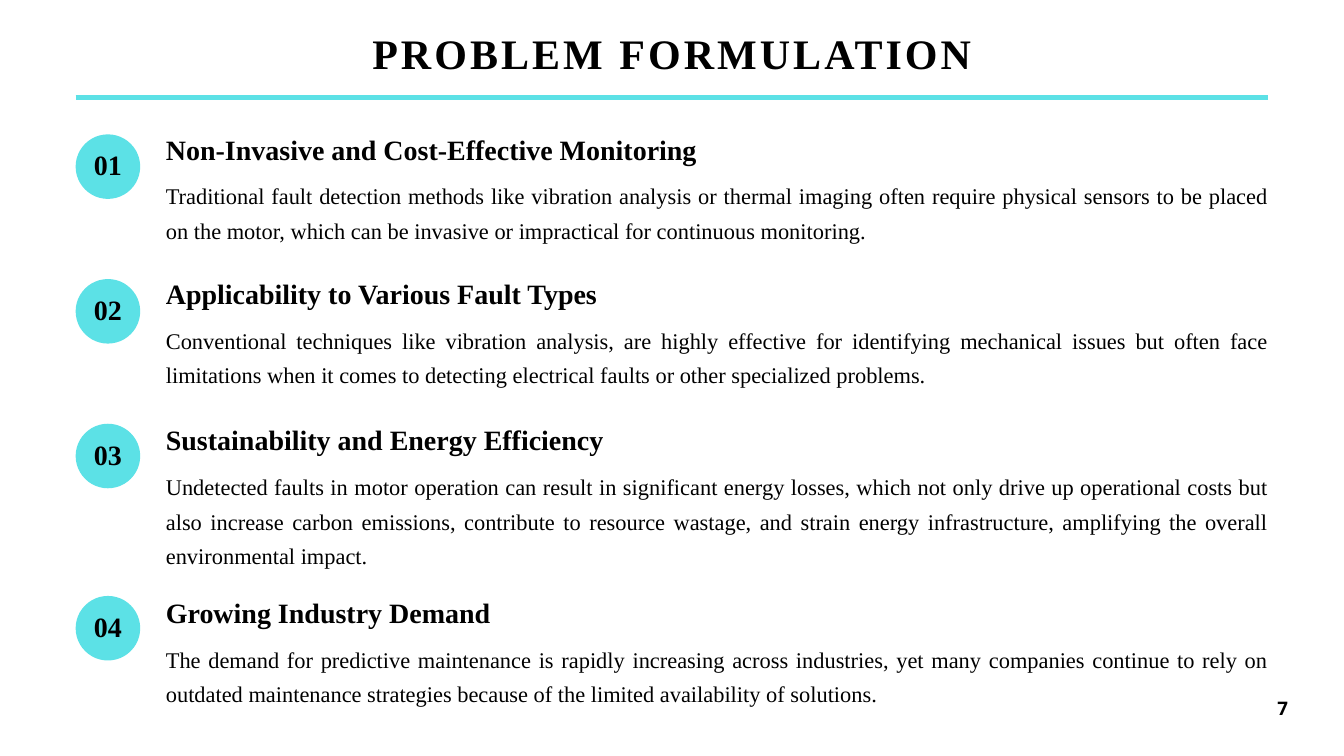
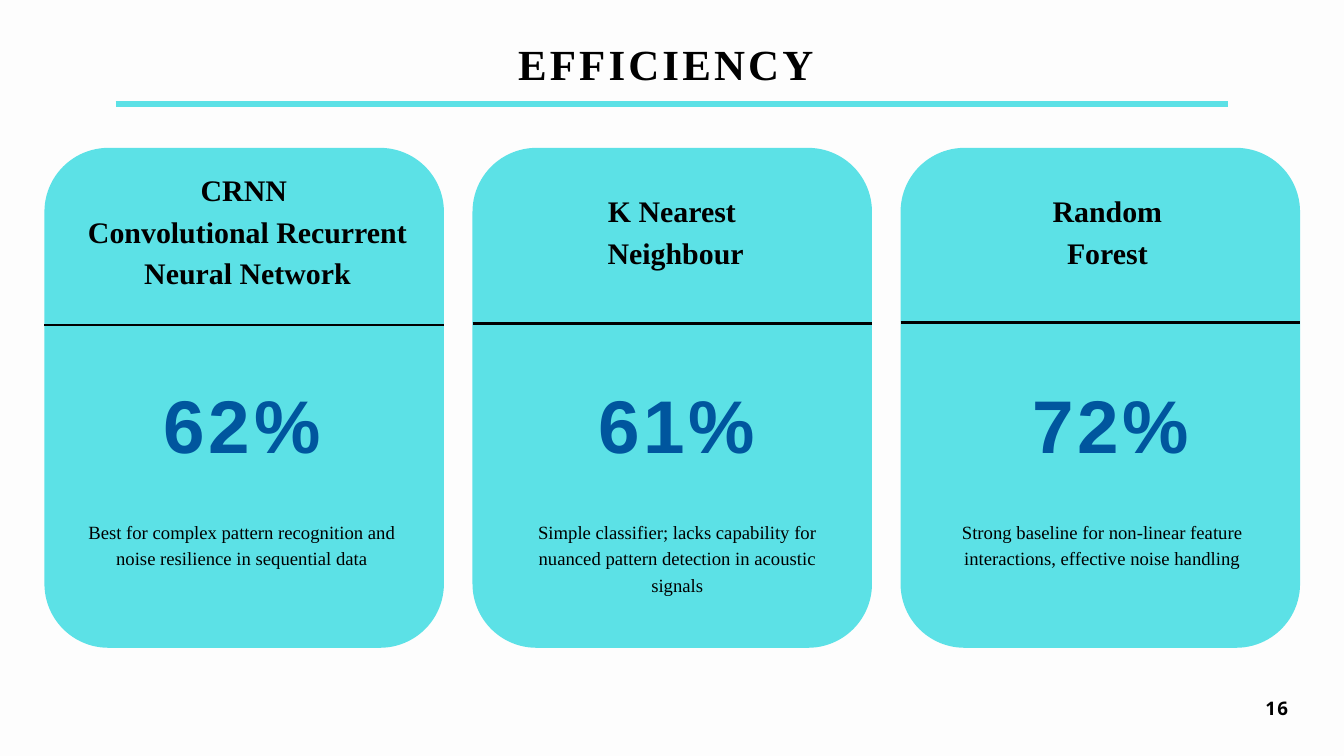
"""Build the problem formulation and efficiency slides."""
from dataclasses import dataclass

from lxml import etree
from pptx import Presentation
from pptx import slide as sl
from pptx import util as u
from pptx.dml import color
from pptx.enum import shapes, text
from pptx.oxml import ns

TURQUOISE = color.RGBColor(0x5C, 0xE1, 0xE6)
BLACK = color.RGBColor(0x00, 0x00, 0x00)
BLUE = color.RGBColor(0x00, 0x56, 0x9E)
WHITE = color.RGBColor(0xFF, 0xFF, 0xFF)
OFF_WHITE = color.RGBColor(0xFD, 0xFD, 0xFD)
SERIF = "Times New Roman"

LEFT = text.PP_ALIGN.LEFT
CENTER = text.PP_ALIGN.CENTER
RIGHT = text.PP_ALIGN.RIGHT
JUSTIFY = text.PP_ALIGN.JUSTIFY

PAGE_WIDTH = 50.8
PAGE_HEIGHT = 28.58


@dataclass(frozen=True)
class Style:
    """Look of a text block; sizes and spacing are in points."""
    size: float
    line: float
    align: text.PP_ALIGN = CENTER
    bold: bool = True
    font: str = SERIF
    colour: color.RGBColor = BLACK
    tracking: float = 0


@dataclass(frozen=True)
class Area:
    """Rectangle in centimetres."""
    left: float
    top: float
    width: float
    height: float

    def lengths(self) -> list[u.Length]:
        """Return the four sides as lengths."""
        return [u.Cm(side) for side in (self.left, self.top, self.width, self.height)]


@dataclass(frozen=True)
class Problem:
    """Numbered problem with its heading and explanation."""
    circle_top: float
    heading_top: float
    heading: str
    body: str
    body_lines: int


@dataclass(frozen=True)
class Card:
    """Model card with its accuracy and remark."""
    heading: str
    heading_lines: int
    heading_left: float
    heading_width: float
    score: str
    remark: str
    remark_left: float
    remark_lines: int


NUMBER = Style(30, 42)
PROBLEM_HEADING = Style(30, 42, LEFT)
PROBLEM_BODY = Style(24, 37.2, JUSTIFY, bold=False)
PAGE_NUMBER = Style(20, 31, RIGHT, font="Open Sans", tracking=1.5)
CARD_HEADING = Style(32, 44.8)
SCORE = Style(80, 112, font="Arial", colour=BLUE, tracking=4)
REMARK = Style(20, 28, bold=False)

PROBLEMS = [
    Problem(5.08, 4.78, "Non-Invasive and Cost-Effective Monitoring",
            "Traditional fault detection methods like vibration analysis or thermal imaging "
            "often require physical sensors to be placed on the motor, which can be invasive "
            "or impractical for continuous monitoring.", 2),
    Problem(10.55, 10.24, "Applicability to Various Fault Types",
            "Conventional techniques like vibration analysis, are highly effective for "
            "identifying mechanical issues but often face limitations when it comes to "
            "detecting electrical faults or other specialized problems.", 2),
    Problem(16.02, 15.77, "Sustainability and Energy Efficiency",
            "Undetected faults in motor operation can result in significant energy losses, "
            "which not only drive up operational costs but also increase carbon emissions, "
            "contribute to resource wastage, and strain energy infrastructure, amplifying "
            "the overall environmental impact.", 3),
    Problem(22.53, 22.3, "Growing Industry Demand",
            "The demand for predictive maintenance is rapidly increasing across industries, "
            "yet many companies continue to rely on outdated maintenance strategies because "
            "of the limited availability of solutions.", 2),
]

CARDS = [
    Card("CRNN \nConvolutional Recurrent Neural Network", 3, 2.86, 13, "62%",
         "Best for complex pattern recognition and noise resilience in sequential data",
         2.84, 2),
    Card("K Nearest\n Neighbour", 2, 18.9, 13, "61%",
         "Simple classifier; lacks capability for nuanced pattern detection in acoustic signals",
         19.3, 3),
    Card("Random \nForest ", 2, 35.36, 13.28, "72%",
         "Strong baseline for non-linear feature interactions, effective noise handling",
         35.36, 2),
]


def add_text(page: sl.Slide, area: Area, words: str, style: Style,
             inset: float = 0, middle: bool = False) -> None:
    """Add a wrapped text box in one style."""
    box = page.shapes.add_textbox(*area.lengths())
    frame = box.text_frame
    frame.word_wrap = True
    frame.margin_left = frame.margin_right = u.Cm(inset)
    frame.margin_top = frame.margin_bottom = u.Cm(inset)
    if middle:
        frame.vertical_anchor = text.MSO_ANCHOR.MIDDLE
    else:
        frame.auto_size = text.MSO_AUTO_SIZE.SHAPE_TO_FIT_TEXT
    frame.text = words
    for para in frame.paragraphs:
        para.alignment = style.align
        para.line_spacing = u.Pt(style.line)
        for span in para.runs:
            span.font.size = u.Pt(style.size)
            span.font.name = style.font
            span.font.bold = style.bold
            span.font.color.rgb = style.colour
            if style.tracking:
                span._r.get_or_add_rPr().set("spc", str(round(style.tracking * 100)))


def add_rule(page: sl.Slide, left: float, right: float, top: float,
             colour: color.RGBColor, weight: float) -> None:
    """Add a horizontal line."""
    rule = page.shapes.add_connector(shapes.MSO_CONNECTOR.STRAIGHT, u.Cm(left), u.Cm(top),
                                     u.Cm(right), u.Cm(top))
    rule.line.color.rgb = colour
    rule.line.width = u.Pt(weight)
    etree.SubElement(rule._element.spPr, ns.qn("a:effectLst"))


def add_panel(page: sl.Slide, kind: shapes.MSO_SHAPE, area: Area,
              rounding: float | None = None) -> None:
    """Add a plain turquoise shape."""
    panel = page.shapes.add_shape(kind, *area.lengths())
    panel.shadow.inherit = False
    panel.fill.solid()
    panel.fill.fore_color.rgb = TURQUOISE
    panel.line.fill.background()
    if rounding is not None:
        panel.adjustments[0] = rounding


def add_page(deck: Presentation, title: str, title_area: Area, title_style: Style,
             rule_left: float, rule_top: float, number: str,
             background: color.RGBColor) -> sl.Slide:
    """Add a slide with its title, rule and page number."""
    page = deck.slides.add_slide(deck.slide_layouts[6])
    page.background.fill.solid()
    page.background.fill.fore_color.rgb = background
    add_text(page, title_area, title, title_style)
    add_rule(page, rule_left, PAGE_WIDTH - rule_left, rule_top, TURQUOISE, 6)
    width = 0.5 * len(number)
    add_text(page, Area(48.69 - width, 26.09, width, 1.02), number, PAGE_NUMBER)
    return page


def add_problem(page: sl.Slide, index: int, problem: Problem) -> None:
    """Add a numbered circle, a heading and its explanation."""
    left, top = 2.86, problem.circle_top
    add_panel(page, shapes.MSO_SHAPE.OVAL, Area(left, top, 2.44, 2.44))
    add_text(page, Area(left + 0.23, top - 0.11, 1.98, 2.31), f"{index:02}", NUMBER,
             inset=0.13, middle=True)
    add_text(page, Area(6.27, problem.heading_top, 41.66, 1.5), problem.heading,
             PROBLEM_HEADING)
    add_text(page, Area(6.27, problem.heading_top + 1.82, 41.66, 1.3 * problem.body_lines),
             problem.body, PROBLEM_BODY)


def add_card(page: sl.Slide, index: int, card: Card) -> None:
    """Add a rounded card with heading, divider, score and remark."""
    left, width = 1.68 + 16.18 * index, 15.1
    add_panel(page, shapes.MSO_SHAPE.ROUNDED_RECTANGLE, Area(left, 5.59, width, 18.9), 0.16)
    add_rule(page, left, left + width, 12.29 - 0.05 * index, BLACK, 3)
    height = 1.6 * card.heading_lines
    add_text(page, Area(card.heading_left, 8.66 - height / 2, card.heading_width, height),
             card.heading, CARD_HEADING)
    add_text(page, Area(2.69 + 16.42 * index, 13.74, 12.93, 3.94), card.score, SCORE)
    add_text(page, Area(card.remark_left, 19.56, 12.6, card.remark_lines), card.remark, REMARK)


def main() -> None:
    """Build and save the deck."""
    deck = Presentation()
    deck.slide_width = u.Cm(PAGE_WIDTH)
    deck.slide_height = u.Cm(PAGE_HEIGHT)

    page = add_page(deck, "PROBLEM FORMULATION", Area(2.86, 0.71, 45.08, 2.36),
                    Style(45, 63, tracking=3.3), 2.86, 3.68, "7", WHITE)
    for index, problem in enumerate(PROBLEMS, start=1):
        add_problem(page, index, problem)

    page = add_page(deck, "EFFICIENCY ", Area(0, 1.09, PAGE_WIDTH, 2.44),
                    Style(46, 64.4, tracking=3.4), 4.37, 3.94, "16", OFF_WHITE)
    for index, card in enumerate(CARDS):
        add_card(page, index, card)

    deck.save("out.pptx")


if __name__ == "__main__":
    main()
